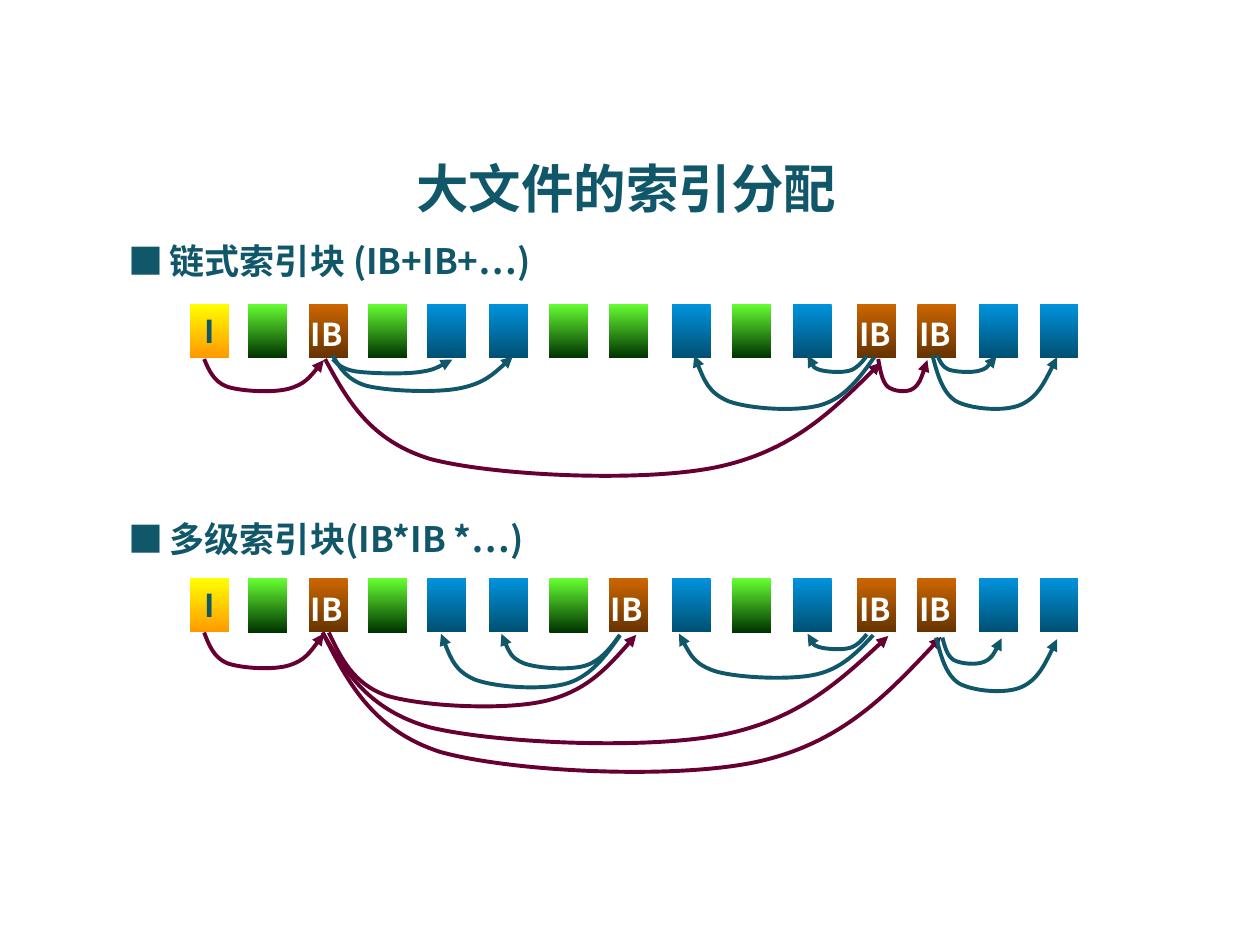
from lxml import etree
from pptx import Presentation
from pptx.dml.color import RGBColor
from pptx.enum.shapes import MSO_SHAPE
from pptx.enum.text import MSO_ANCHOR, PP_ALIGN
from pptx.oxml.ns import qn
from pptx.util import Inches, Pt

RECTANGLE = MSO_SHAPE.RECTANGLE
MIDDLE, TOP = MSO_ANCHOR.MIDDLE, MSO_ANCHOR.TOP
LEFT, CENTER = PP_ALIGN.LEFT, PP_ALIGN.CENTER

TEAL = RGBColor(0x11, 0x57, 0x6A)
MAROON = RGBColor(0x66, 0x00, 0x33)
WHITE = RGBColor(0xFF, 0xFF, 0xFF)
YELLOW, ORANGE = RGBColor(0xFF, 0xFF, 0x00), RGBColor(0xFF, 0x99, 0x00)
LIME, DARK_GREEN = RGBColor(0x66, 0xFF, 0x33), RGBColor(0x00, 0x33, 0x00)
SKY, DEEP_BLUE = RGBColor(0x00, 0x93, 0xDD), RGBColor(0x00, 0x50, 0x72)
COPPER, BROWN = RGBColor(0xCC, 0x66, 0x00), RGBColor(0x66, 0x33, 0x00)

# I = inode, X = index block, D = data block of this file, O = other block
BLOCK_COLORS = {"I": (YELLOW, ORANGE), "X": (COPPER, BROWN),
                "D": (SKY, DEEP_BLUE), "O": (LIME, DARK_GREEN)}
BLOCK_LEFTS = (1.51, 1.97, 2.45, 2.92, 3.39, 3.88, 4.36, 4.83,
               5.33, 5.81, 6.29, 6.8, 7.28, 7.77, 8.25)

# Three Bezier segments, as fractions of a link's width and depth
LINK_CURVE = ((0.04, 0.33), (0.08, 0.66), (0.19, 0.81),
              (0.31, 0.95), (0.58, 1), (0.71, 0.87),
              (0.84, 0.74), (0.92, 0.39), (1, 0.03))

# Links: left, top, width, depth, colour, arrowhead end
CHAINED_LINKS = (
    (1.62, 2.85, 0.95, 0.27, MAROON, "tailEnd"),
    (6.97, 2.85, 0.39, 0.27, MAROON, "tailEnd"),
    (2.58, 2.85, 4.41, 0.98, MAROON, "tailEnd"),
    (2.64, 2.85, 0.95, 0.12, TEAL, "tailEnd"),
    (2.64, 2.82, 1.43, 0.3, TEAL, "tailEnd"),
    (5.51, 2.82, 1.43, 0.45, TEAL, "headEnd"),
    (6.41, 2.82, 0.47, 0.14, TEAL, "headEnd"),
    (7.44, 2.82, 0.47, 0.14, TEAL, "tailEnd"),
    (7.4, 2.82, 0.99, 0.45, TEAL, "tailEnd"),
)
MULTILEVEL_LINKS = (
    (1.62, 5.02, 0.95, 0.3, MAROON, "tailEnd"),
    (2.61, 5.02, 2.44, 0.62, MAROON, "tailEnd"),
    (2.56, 5.02, 4.49, 0.93, MAROON, "tailEnd"),
    (2.56, 5.02, 4.91, 1.17, MAROON, "tailEnd"),
    (7.48, 5.06, 0.47, 0.22, TEAL, "tailEnd"),
    (7.43, 5.06, 0.96, 0.45, TEAL, "tailEnd"),
    (5.39, 5.03, 1.54, 0.37, TEAL, "headEnd"),
    (6.41, 5.03, 0.47, 0.13, TEAL, "headEnd"),
    (3.98, 5.03, 0.94, 0.29, TEAL, "headEnd"),
    (3.5, 5.03, 1.42, 0.45, TEAL, "headEnd"),
)


class BlockDiagram:
    """Holds the slide and the style of its elements."""

    font = "Noto Sans CJK SC"
    bullet_font = "Noto Sans CJK JP"
    block_width, block_height = 0.31, 0.43

    def __init__(self, slide):
        self.shapes = slide.shapes

    def set_text(self, frame, text, size, color=TEAL, align=LEFT, anchor=TOP,
                 font_name=None):
        frame.vertical_anchor = anchor
        paragraph = frame.paragraphs[0]
        paragraph.text = text
        paragraph.alignment = align
        font = paragraph.font
        font.size, font.bold = Pt(size), True
        font.color.rgb = color
        font.name = font_name or self.font
        properties = paragraph._p.pPr.find(qn("a:defRPr"))
        etree.SubElement(properties, qn("a:ea"), typeface=font.name)

    def text(self, left, top, width, height, text, size, **style):
        box = self.shapes.add_textbox(Inches(left), Inches(top),
                                      Inches(width), Inches(height))
        box.text_frame.word_wrap = True
        self.set_text(box.text_frame, text, size, **style)

    def heading(self, top, text):
        self.text(1.25, top, 3.44, 0.47, text, 20)
        self.text(0.92, top, 0.47, 0.44, "■", 20, font_name=self.bullet_font)

    def block(self, left, top, kind):
        block = self.shapes.add_shape(
            RECTANGLE, Inches(left), Inches(top),
            Inches(self.block_width), Inches(self.block_height))
        block.shadow.inherit = False
        block.line.fill.background()
        block.fill.gradient()
        block.fill.gradient_angle = 270
        for stop, color in zip(block.fill.gradient_stops, BLOCK_COLORS[kind]):
            stop.color.rgb = color
        if kind == "I":
            self.set_text(block.text_frame, "I", 18, align=CENTER, anchor=MIDDLE)
        elif kind == "X":
            self.text(left - 0.08, top + 0.04, 0.63, 0.39, "IB", 18, color=WHITE)

    def row(self, top, kinds):
        for left, kind in zip(BLOCK_LEFTS, kinds):
            self.block(left, top, kind)

    def link(self, left, top, width, depth, color, arrow_end):
        builder = self.shapes.build_freeform(Inches(left), Inches(top))
        builder.add_line_segments(
            [(Inches(left + x * width), Inches(top + y * depth))
             for x, y in LINK_CURVE], close=False)
        curve = builder.convert_to_shape()
        curve.shadow.inherit = False
        curve.fill.background()
        curve.line.color.rgb = color
        curve.line.width = Pt(2.25)

        # Every three straight segments become one cubic Bezier segment
        outline = next(curve.element.iter(qn("a:path")))
        segments = outline.findall(qn("a:lnTo"))
        for start in range(0, len(segments), 3):
            bezier = etree.SubElement(outline, qn("a:cubicBezTo"))
            for segment in segments[start:start + 3]:
                bezier.append(segment[0])
                outline.remove(segment)
        line = curve.element.spPr.find(qn("a:ln"))
        etree.SubElement(line, qn("a:" + arrow_end), type="triangle")


def main():
    presentation = Presentation()
    presentation.slide_width = Inches(10)
    presentation.slide_height = Inches(7.5)
    slide = presentation.slides.add_slide(presentation.slide_layouts[6])
    diagram = BlockDiagram(slide)

    diagram.text(0.47, 1.19, 9, 0.56, "大文件的索引分配", 30, align=CENTER)
    sections = (
        (1.85, "链式索引块 (IB+IB+…)", 2.41, "IOXODDOODODXXDD", CHAINED_LINKS),
        (4.06, "多级索引块(IB*IB *…)", 4.59, "IOXODDOXDODXXDD", MULTILEVEL_LINKS),
    )
    for heading_top, heading, row_top, kinds, links in sections:
        diagram.heading(heading_top, heading)
        diagram.row(row_top, kinds)
        for link in links:
            diagram.link(*link)

    presentation.save("out.pptx")


if __name__ == "__main__":
    main()
